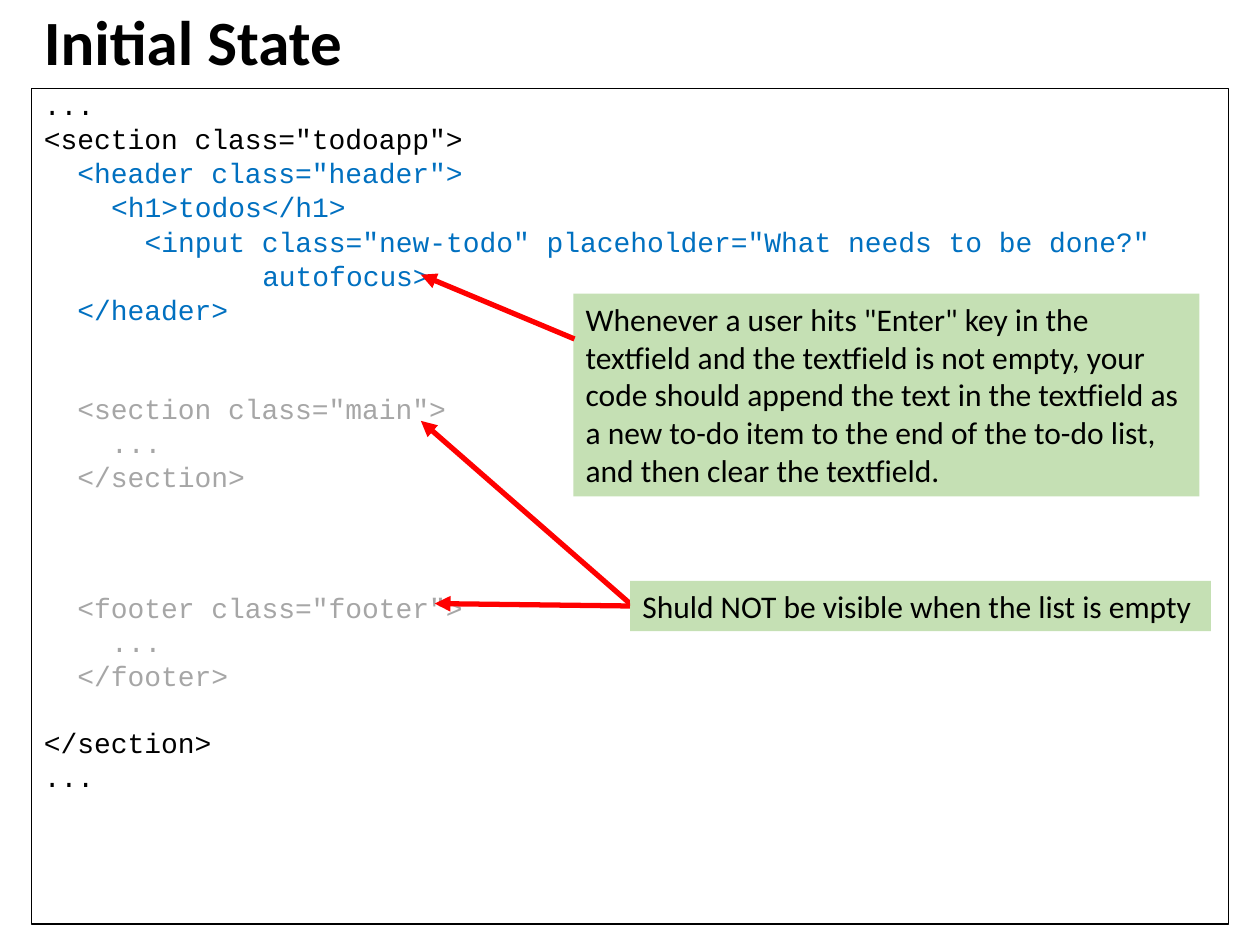
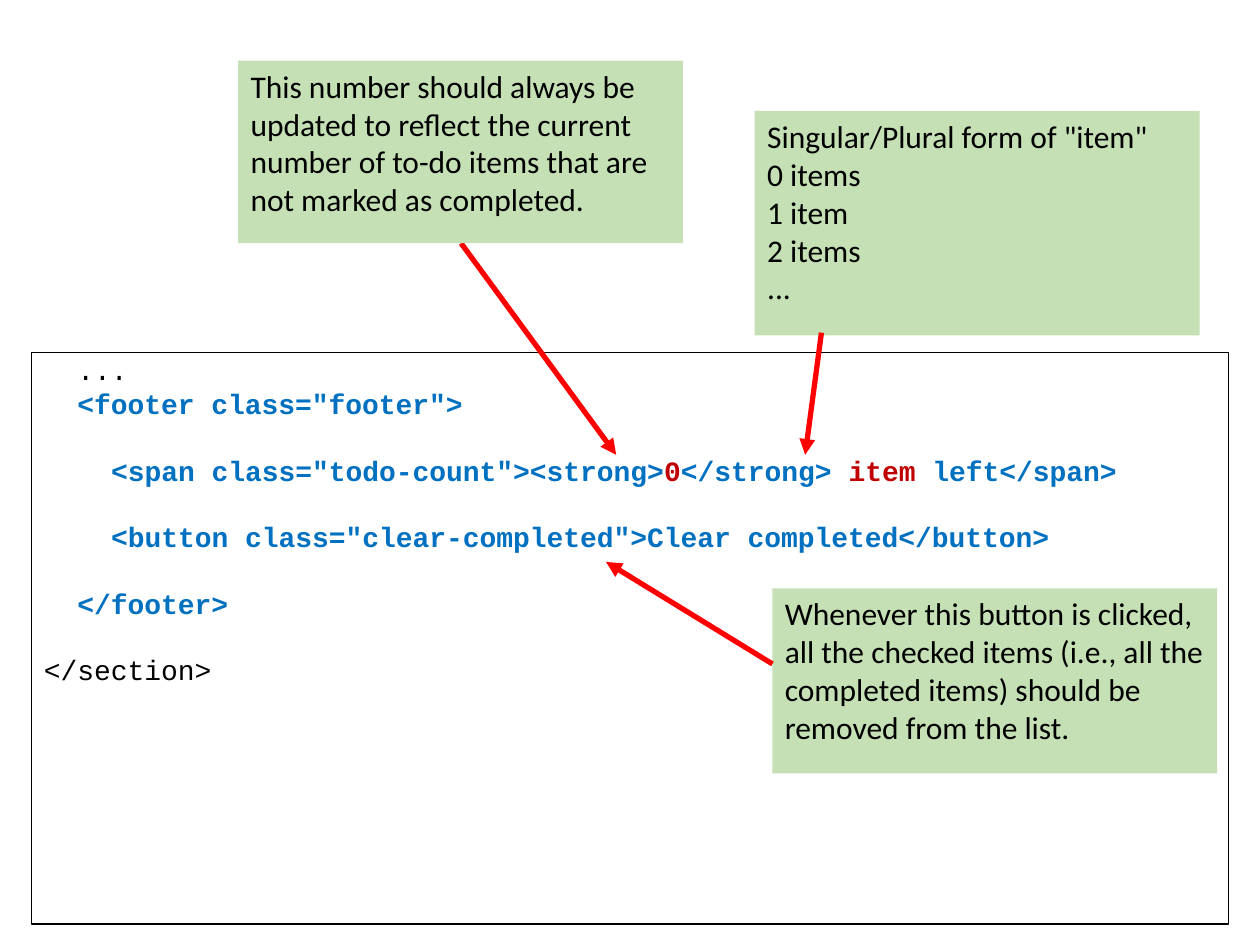
from pptx import Presentation
from pptx.dml.color import RGBColor
from pptx.enum.shapes import MSO_CONNECTOR, MSO_SHAPE
from pptx.enum.text import MSO_ANCHOR, PP_ALIGN
from pptx.oxml.ns import qn
from pptx.util import Pt
from lxml import etree

COLORS = {"black": "000000", "white": "FFFFFF", "blue": "0070C0",
          "gray": "A6A6A6", "red": "C00000", "arrow": "FF0000", "note": "C5E0B4"}
FONTS = {
    "title": {"name": "Calibri", "size": Pt(36), "bold": True},
    "note": {"name": "Calibri", "size": Pt(18), "bold": False},
    "code": {"name": "Courier New", "size": Pt(16), "bold": False},
    "code bold": {"name": "Courier New", "size": Pt(16), "bold": True},
}
CODE_FORMAT = {"alignment": PP_ALIGN.LEFT, "line_spacing": 0.8}
LINE_GAP = 4.07      # space above each code line
LINE_PITCH = 18.57   # one code line with its gap
CHAR_WIDTH = 9.6     # one Courier New character at 16 pt


def add_run(p, text, style, color="black"):
    r = p.add_run()
    r.text = text
    for name, value in FONTS[style].items():
        setattr(r.font, name, value)
    r.font.color.rgb = RGBColor.from_string(COLORS[color])


def add_box(s, bounds, fill, line=None):
    sp = s.shapes.add_shape(MSO_SHAPE.RECTANGLE, *[Pt(v) for v in bounds])
    sp.shadow.inherit = False
    sp.fill.solid()
    sp.fill.fore_color.rgb = RGBColor.from_string(COLORS[fill])
    if line:
        sp.line.color.rgb = RGBColor.from_string(COLORS[line])
        sp.line.width = Pt(0.75)
    else:
        sp.line.fill.background()
    tf = sp.text_frame
    tf.word_wrap = True
    tf.vertical_anchor = MSO_ANCHOR.TOP
    return tf


# Code lines: empty lines above, indent in characters, style, (text, colour) runs
# Parts: notes with bounds and paragraphs, arrows with start and end, back to front
slides = [
    {
        "title": "Initial State",
        "code_top": 50.4,
        "code": [
            (0, 0, "code", [("...", "black")]),
            (0, 0, "code", [('<section class="todoapp">', "black")]),
            (0, 2, "code", [('<header class="header">', "blue")]),
            (0, 4, "code", [("<h1>todos</h1>", "blue")]),
            (0, 6, "code", [('<input class="new-todo" placeholder="What needs to be done?"', "blue")]),
            (0, 13, "code", [("autofocus>", "blue")]),
            (0, 2, "code", [("</header>", "blue")]),
            (2, 2, "code", [('<section class="main">', "gray")]),
            (0, 4, "code", [("...", "gray")]),
            (0, 2, "code", [("</section>", "gray")]),
            (3, 2, "code", [('<footer class="footer">', "gray")]),
            (0, 4, "code", [("...", "gray")]),
            (0, 2, "code", [("</footer>", "gray")]),
            (1, 0, "code", [("</section>", "black")]),
            (0, 0, "code", [("...", "black")]),
        ],
        "parts": [
            ("arrow", (360, 344.9, 240.5, 240.5), None),
            ("note", (360, 331.9, 331.9, 28.8), ["Shuld NOT be visible when the list is empty"]),
            ("arrow", (360, 346.3, 248.4, 344.9), None),
            ("note", (327.6, 167.8, 357.8, 115.9), [
                'Whenever a user hits "Enter" key in the textfield and the textfield is not '
                "empty, your code should append the text in the textfield as a new to-do item "
                "to the end of the to-do list, and then clear the textfield."]),
            ("arrow", (328.3, 193.7, 240.5, 157), None),
        ],
    },
    {
        "title": None,
        "code_top": 201.6,
        "code": [
            (0, 2, "code", [("...", "black")]),
            (0, 2, "code bold", [('<footer class="footer">', "blue")]),
            (1, 4, "code bold", [('<span class="todo-count"><strong>', "blue"), ("0", "red"),
                                 ("</strong> ", "blue"), ("item", "red"),
                                 (" left</span>", "blue")]),
            (1, 4, "code bold", [('<button class="clear-completed">Clear completed</button>', "blue")]),
            (1, 2, "code bold", [("</footer>", "blue")]),
            (1, 0, "code", [("</section>", "black")]),
        ],
        "parts": [
            ("arrow", (263.5, 139, 352.1, 259.9), None),
            ("note", (136.1, 34.6, 254.2, 104.4), [
                "This number should always be updated to reflect the current number of to-do "
                "items that are not marked as completed."]),
            ("note", (441.4, 336.2, 254.2, 105.8), [
                "Whenever this button is clicked, all the checked items (i.e., all the "
                "completed items) should be removed from the list."]),
            ("arrow", (441.4, 379.4, 346.3, 321.1), None),
            ("note", (431.3, 63.4, 254.2, 128.2), [
                'Singular/Plural form of "item"', "0 items", "1 item", "2 items", "..."]),
            ("arrow", (469.4, 190.1, 460.1, 259.9), None),
        ],
    },
]

prs = Presentation()
prs.slide_width, prs.slide_height = Pt(720), Pt(540)

for content in slides:
    s = prs.slides.add_slide(prs.slide_layouts[6])

    # Code panel, always ending at the same bottom edge
    top = content["code_top"]
    tf = add_box(s, (18, top, 684, 528 - top), "white", "black")
    for i, (empty, indent, style, runs) in enumerate(content["code"]):
        p = tf.add_paragraph() if i else tf.paragraphs[0]
        for name, value in CODE_FORMAT.items():
            setattr(p, name, value)
        p.space_before = Pt(LINE_GAP + empty * LINE_PITCH)
        p._p.get_or_add_pPr().set("marL", str(Pt(indent * CHAR_WIDTH)))
        for text, color in runs:
            add_run(p, text, style, color)

    # Title
    if content["title"]:
        tf = s.shapes.add_textbox(Pt(18), Pt(5.8), Pt(620.6), Pt(39.6)).text_frame
        tf.word_wrap = True
        tf.vertical_anchor = MSO_ANCHOR.MIDDLE
        tf.paragraphs[0].line_spacing = 0.9
        add_run(tf.paragraphs[0], content["title"], "title")

    # Notes and arrows
    for kind, bounds, lines in content["parts"]:
        if kind == "note":
            tf = add_box(s, bounds, "note")
            for i, text in enumerate(lines):
                p = tf.add_paragraph() if i else tf.paragraphs[0]
                p.alignment = PP_ALIGN.LEFT
                add_run(p, text, "note")
        else:
            cx = s.shapes.add_connector(MSO_CONNECTOR.STRAIGHT, *[Pt(v) for v in bounds])
            cx.line.color.rgb = RGBColor.from_string(COLORS["arrow"])
            cx.line.width = Pt(3)
            etree.SubElement(cx.line._get_or_add_ln(), qn("a:tailEnd"), type="triangle")
            etree.SubElement(cx._element.spPr, qn("a:effectLst"))

prs.save("out.pptx")
